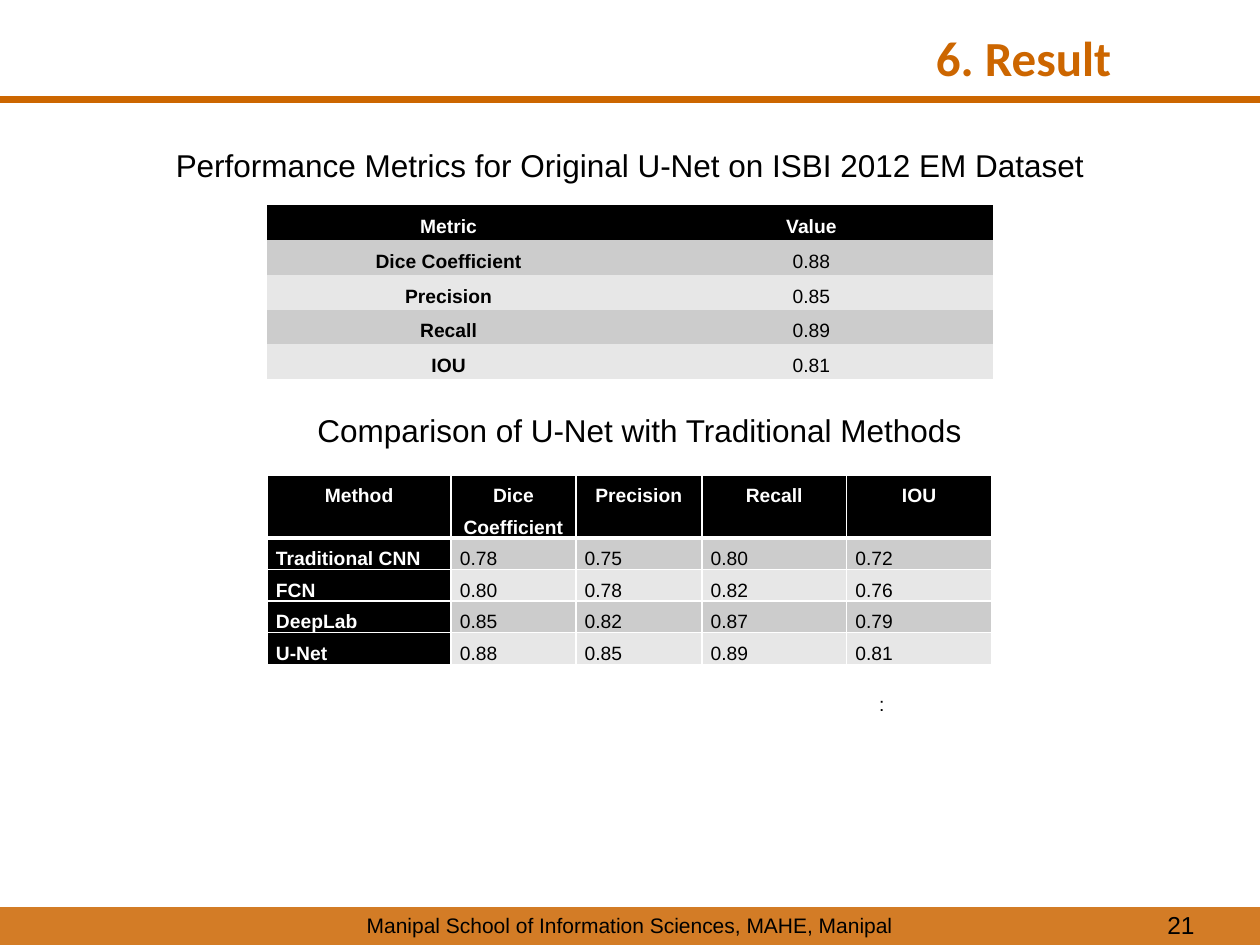
from dataclasses import dataclass

from lxml import etree
from pptx import Presentation
from pptx.dml.color import RGBColor
from pptx.enum.shapes import MSO_CONNECTOR, MSO_SHAPE
from pptx.enum.text import MSO_ANCHOR, PP_ALIGN
from pptx.oxml.ns import qn
from pptx.util import Inches, Pt

LEFT, CENTER, RIGHT, JUSTIFY = PP_ALIGN.LEFT, PP_ALIGN.CENTER, PP_ALIGN.RIGHT, PP_ALIGN.JUSTIFY
TOP, MIDDLE = MSO_ANCHOR.TOP, MSO_ANCHOR.MIDDLE
PLAIN_TABLE = "{2D5ABB26-0587-4C30-8999-92F81FD0307C}"  # no style, no grid


@dataclass(frozen=True)
class Theme:
    accent: str = "CC6600"
    ink: str = "000000"
    paper: str = "FFFFFF"
    bands: tuple = ("CCCCCC", "E7E7E7")
    body_font: str = "Arial"
    title_font: str = "Calibri"
    title: int = 28
    heading: int = 18
    number: int = 14
    footer: int = 12
    small: int = 11


def rgb(color):
    return RGBColor.from_string(color)


def grid(units):
    """Grid of 100 columns by 75 rows on a 10 x 7.5 inch slide."""
    return Inches(units / 10)


class Deck:
    def __init__(self, theme):
        self.theme = theme
        self.prs = Presentation()
        self.prs.slide_width, self.prs.slide_height = grid(100), grid(75)
        self.slide = self.prs.slides.add_slide(self.prs.slide_layouts[6])

    def style(self, p, size, align, color=None, bold=False, font=None):
        p.alignment = align
        p.font.size, p.font.bold = Pt(size), bold
        p.font.name = font or self.theme.body_font
        p.font.color.rgb = rgb(color or self.theme.ink)

    def text(self, text, x, y, w, h, size, align=LEFT, anchor=TOP, wrap=True, **look):
        sp = self.slide.shapes.add_textbox(*map(grid, (x, y, w, h)))
        tf = sp.text_frame
        tf.word_wrap, tf.vertical_anchor = wrap, anchor
        tf.text = text
        self.style(tf.paragraphs[0], size, align, **look)

    def rule(self, y, weight):
        ln = self.slide.shapes.add_connector(
            MSO_CONNECTOR.STRAIGHT, 0, grid(y), grid(100), grid(y))
        ln.line.color.rgb, ln.line.width = rgb(self.theme.accent), Pt(weight)
        etree.SubElement(ln._element.spPr, qn("a:effectLst"))

    def band(self, y, h, opacity):
        sp = self.slide.shapes.add_shape(
            MSO_SHAPE.RECTANGLE, 0, grid(y), grid(100), grid(h))
        sp.shadow.inherit = False
        sp.fill.solid()
        sp.fill.fore_color.rgb = rgb(self.theme.accent)
        sp.line.fill.background()
        color = sp._element.spPr.find(".//" + qn("a:srgbClr"))
        etree.SubElement(color, qn("a:alpha"), val=str(opacity * 1000))

    def borders(self, cell, row):
        tcPr = cell._tc.get_or_add_tcPr()
        heavy = {0: "lnB", 1: "lnT"}.get(row)  # the line under the header
        for side in ("lnL", "lnR", "lnT", "lnB"):
            ln = etree.SubElement(tcPr, qn("a:" + side), w=str(Pt(3 if side == heavy else 1)))
            fill = etree.SubElement(ln, qn("a:solidFill"))
            etree.SubElement(fill, qn("a:srgbClr"), val=self.theme.paper)

    def table(self, data, x, y, widths, heights, spacing, body_align,
              dark_first=False, bordered=False):
        t = self.theme
        frame = self.slide.shapes.add_table(
            len(data), len(widths), *map(grid, (x, y, sum(widths), sum(heights))))
        tbl = frame.table
        tbl._tbl.tblPr.find(qn("a:tableStyleId")).text = PLAIN_TABLE
        for col, w in zip(tbl.columns, widths):
            col.width = grid(w)
        for row, h in zip(tbl.rows, heights):
            row.height = grid(h)
        for r, values in enumerate(data):
            for c, value in enumerate(values):
                cell = tbl.cell(r, c)
                dark = r == 0 or (dark_first and c == 0)
                if bordered:
                    self.borders(cell, r)
                cell.fill.solid()
                cell.fill.fore_color.rgb = rgb(t.ink if dark else t.bands[(r - 1) % 2])
                cell.margin_left = cell.margin_right = grid(0.7)
                cell.margin_top = cell.margin_bottom = 0
                cell.text = value
                p = cell.text_frame.paragraphs[0]
                p.line_spacing = spacing
                self.style(p, t.small, CENTER if r == 0 else body_align,
                           color=t.paper if dark else t.ink, bold=r == 0 or c == 0)


def main():
    t = Theme()
    deck = Deck(t)

    # Header rule and footer band
    deck.rule(7.9, 4.5)
    deck.band(72, 3, opacity=85)
    deck.text("Manipal School of Information Sciences, MAHE, Manipal",
              0, 71.9, 100, 3, t.footer, CENTER)
    deck.text("21", 72.5, 71.7, 23.3, 3.3, t.number, RIGHT)

    # Title
    deck.text("6. Result", 73.3, 1.7, 26.7, 5.7, t.title,
              color=t.accent, bold=True, font=t.title_font)

    # Metrics of the network
    deck.text("Performance Metrics for Original U-Net on ISBI 2012 EM Dataset",
              9.4, 11.1, 81.2, 7.4, t.heading, CENTER)
    metrics = [("Metric", "Value"), ("Dice Coefficient", "0.88"),
               ("Precision", "0.85"), ("Recall", "0.89"), ("IOU", "0.81")]
    deck.table(metrics, 21.2, 16.3, [28.8] * 2, [2.76] * 5, 1.5, CENTER)

    # Comparison of methods
    deck.text("Comparison of U-Net with Traditional Methods",
              24.2, 32.1, 75.8, 7.4, t.heading)
    methods = [("Method", "Dice Coefficient", "Precision", "Recall", "IOU"),
               ("Traditional CNN", "0.78", "0.75", "0.80", "0.72"),
               ("FCN", "0.80", "0.78", "0.82", "0.76"),
               ("DeepLab", "0.85", "0.82", "0.87", "0.79"),
               ("U-Net", "0.88", "0.85", "0.89", "0.81")]
    deck.table(methods, 21.2, 37.7, [14.6, 9.9, 10, 11.5, 11.5], [5] + [2.5] * 4,
               Pt(18), JUSTIFY, dark_first=True, bordered=True)
    deck.text(":", 68.8, 54.4, 2.4, 2.9, t.small, JUSTIFY, MIDDLE, wrap=False)

    deck.prs.save("out.pptx")


if __name__ == "__main__":
    main()
